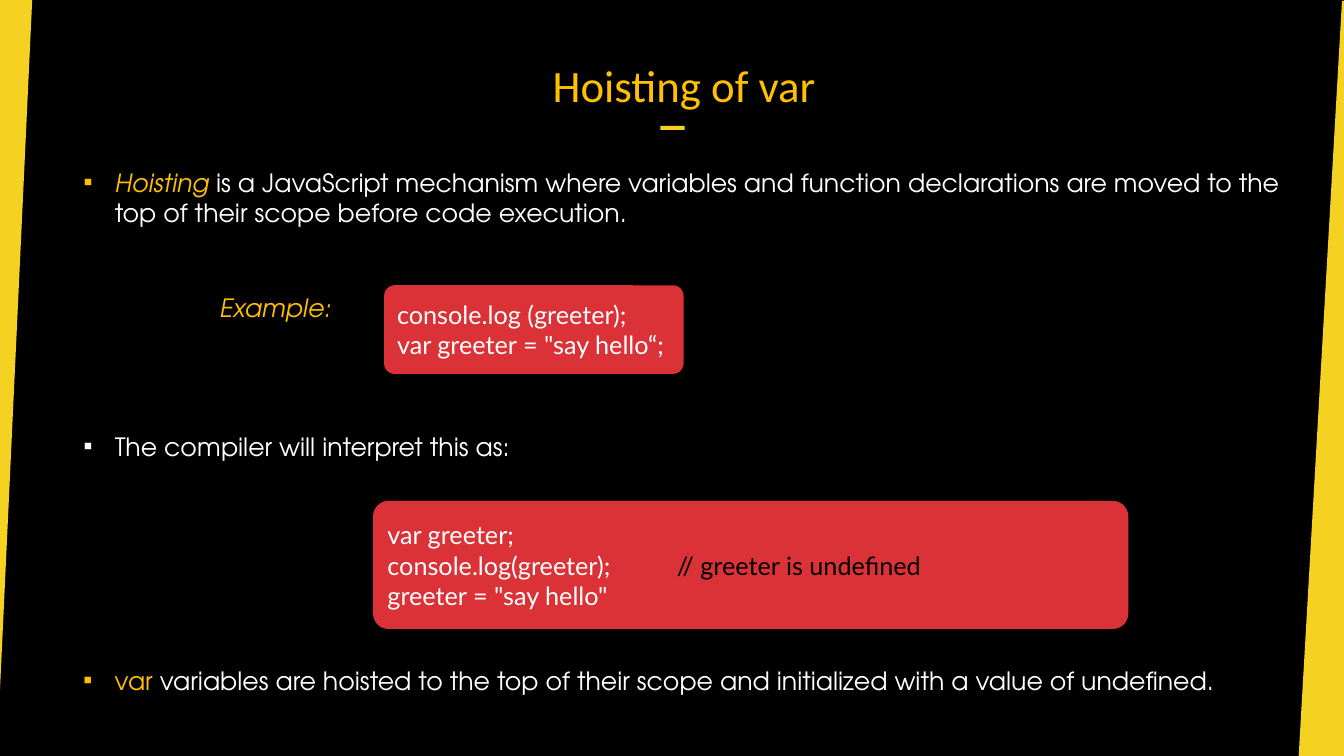
from pptx import Presentation
from pptx.dml.color import RGBColor
from pptx.enum.shapes import MSO_SHAPE as Shape
from pptx.enum.text import MSO_ANCHOR as Anchor, PP_ALIGN as Align
from pptx.oxml.ns import qn
from pptx.util import Inches, Pt
from lxml.etree import SubElement

GOLD = "FFC000"
YELLOW = "F5D121"
RED = "DA3236"
WHITE = "FFFFFF"
BLACK = "000000"
SANS = "TeX Gyre Adventor"


def color(text):
    return RGBColor.from_string(text)


def paint(shape, fill):
    shape.shadow.inherit = False
    shape.fill.solid()
    shape.fill.fore_color.rgb = color(fill)
    shape.line.fill.background()


def add_band(slide, points):
    pen = slide.shapes.build_freeform(*map(Inches, points[0]), scale=1.0)
    pen.add_line_segments([(Inches(x), Inches(y)) for x, y in points[1:]])
    paint(pen.convert_to_shape(), YELLOW)


def add_block(slide, kind, box, fill):
    shape = slide.shapes.add_shape(kind, *map(Inches, box))
    paint(shape, fill)
    return shape


def set_font(para, name, size):
    para.font.name = name
    para.font.size = Pt(size)


def add_runs(para, parts):
    for text, tint, slant in parts:
        run = para.add_run()
        run.text = text
        run.font.color.rgb = color(tint)
        if slant:
            run.font.italic = True


def add_text(slide, box, parts, name=SANS, size=18, wrap=True):
    frame = slide.shapes.add_textbox(*map(Inches, box)).text_frame
    frame.word_wrap = wrap
    para = frame.paragraphs[0]
    set_font(para, name, size)
    add_runs(para, parts)
    return frame


def add_bullet(slide, top, width, parts):
    frame = add_text(slide, (0.73, top, width, 0.4), parts)
    props = frame.paragraphs[0]._p.get_or_add_pPr()
    props.set("marL", str(Inches(0.31)))
    props.set("indent", str(-Inches(0.31)))
    tint = SubElement(props, qn("a:buClr"))
    SubElement(tint, qn("a:srgbClr"), val=parts[0][1])
    font = SubElement(props, qn("a:buFont"), typeface="Calibri")
    mark = SubElement(props, qn("a:buChar"), char="▪")
    for pos, item in enumerate((tint, font, mark)):
        props.insert(pos, item)


def add_code(slide, box, lines):
    shape = add_block(slide, Shape.ROUNDED_RECTANGLE, box, RED)
    shape.adjustments[0] = 0.119
    frame = shape.text_frame
    frame.word_wrap = True
    frame.vertical_anchor = Anchor.MIDDLE
    for pos, (code, note) in enumerate(lines):
        para = frame.add_paragraph() if pos else frame.paragraphs[0]
        para.alignment = Align.LEFT
        parts = [(code, WHITE, False)]
        if note:
            tabs = SubElement(para._p.get_or_add_pPr(), qn("a:tabLst"))
            SubElement(tabs, qn("a:tab"), pos=str(Inches(2.87)), algn="l")
            parts.append(("\t" + note, BLACK, False))
        set_font(para, "Lato", 18)
        add_runs(para, parts)


def main():
    deck = Presentation()
    deck.slide_width = Inches(13.33)
    deck.slide_height = Inches(7.5)
    slide = deck.slides.add_slide(deck.slide_layouts[6])
    slide.background.fill.solid()
    slide.background.fill.fore_color.rgb = color(BLACK)

    add_band(slide, [(-0.03, 7.5), (-0.05, 7.5), (-0.05, 0), (0.32, 0)])
    add_band(slide, [(13.31, 0.01), (13.33, 0.01), (13.33, 7.51), (12.88, 7.51)])
    add_block(slide, Shape.RECTANGLE, (6.55, 1.25, 0.24, 0.04), YELLOW)

    title = add_text(slide, (2.38, 0.36, 8.81, 0.75),
                     [("Hoisting of var", GOLD, False)], "Calibri", 32)
    title.vertical_anchor = Anchor.BOTTOM
    title.margin_bottom = 0
    title.paragraphs[0].alignment = Align.CENTER

    add_bullet(slide, 1.61, 12.15, [
        ("Hoisting", GOLD, True),
        (" is a JavaScript mechanism where variables and function declarations "
         "are moved to the top of their scope before code execution.", WHITE, False)])
    add_text(slide, (2.08, 2.85, 1.32, 0.4), [("Example:", GOLD, True)], wrap=False)
    add_code(slide, (3.81, 2.83, 2.97, 0.88), [
        ("console.log (greeter);", ""),
        ('var greeter = "say hello“;', "")])
    add_bullet(slide, 4.23, 11.65, [
        ("The compiler will interpret this as:", WHITE, False)])
    add_code(slide, (3.7, 4.97, 7.49, 1.27), [
        ("var greeter;", ""),
        ("console.log(greeter);", "// greeter is undefined"),
        ('greeter = "say hello"', "")])
    add_bullet(slide, 6.55, 11.44, [
        ("var ", GOLD, False),
        ("variables are hoisted to the top of their scope and initialized "
         "with a value of undefined.", WHITE, False)])
    deck.save("out.pptx")


if __name__ == "__main__":
    main()
